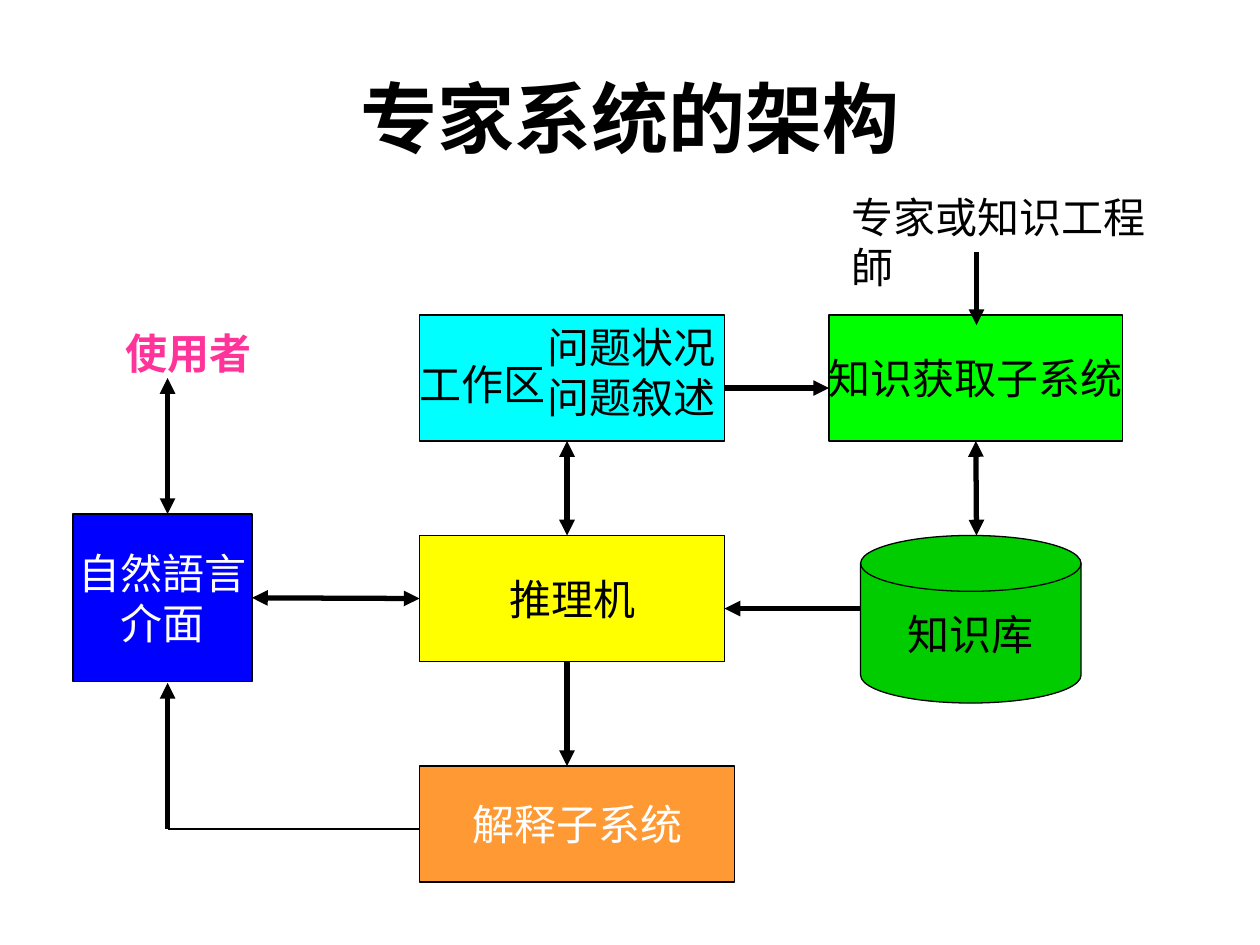
from lxml import etree
from pptx import Presentation
from pptx.dml.color import RGBColor
from pptx.enum.shapes import MSO_CONNECTOR, MSO_SHAPE
from pptx.enum.text import MSO_ANCHOR, MSO_AUTO_SIZE, PP_ALIGN
from pptx.oxml.ns import qn
from pptx.util import Inches, Pt

RECTANGLE = MSO_SHAPE.RECTANGLE
DISK = MSO_SHAPE.FLOWCHART_MAGNETIC_DISK
STRAIGHT = MSO_CONNECTOR.STRAIGHT
MIDDLE = MSO_ANCHOR.MIDDLE
TOP = MSO_ANCHOR.TOP
CENTER = PP_ALIGN.CENTER
LEFT = PP_ALIGN.LEFT
FIT_SHAPE = MSO_AUTO_SIZE.SHAPE_TO_FIT_TEXT
BOTTOM_SITE, LEFT_SITE, RIGHT_SITE = 2, 1, 3

COLORS = {
    "black": "000000",
    "white": "FFFFFF",
    "user": "FF3399",
    "base": "00CC00",
    "acquisition": "00FF00",
    "workspace": "00FFFF",
    "inference": "FFFF00",
    "explanation": "FF9933",
    "interface": "0000FF",
}


def color(name):
    return RGBColor.from_string(COLORS[name])


def place(box, left, top, width, height):
    return (box[0] + left, box[1] + top, width, height)


def write_text(frame, text, size, font_name, font_color, align, anchor, bold=False):
    frame.text = text
    frame.vertical_anchor = anchor
    for paragraph in frame.paragraphs:
        paragraph.alignment = align
        paragraph.font.size = Pt(size)
        paragraph.font.name = font_name
        paragraph.font.bold = bold
        paragraph.font.color.rgb = color(font_color)


def add_title(slide, box, text):
    title = slide.shapes.title
    title.left, title.top, title.width, title.height = map(Inches, box)
    write_text(title.text_frame, text, 44, "Arial", "black", CENTER, MIDDLE, True)


def add_node(slide, box, fill, text="", font_color="black", kind=RECTANGLE):
    node = slide.shapes.add_shape(kind, *map(Inches, box))
    node.shadow.inherit = False
    node.fill.solid()
    node.fill.fore_color.rgb = color(fill)
    node.line.color.rgb = color("black")
    node.line.width = Pt(0.75)
    if text:
        node.text_frame.word_wrap = False
        write_text(node.text_frame, text, 24, "Times New Roman", font_color, CENTER, MIDDLE)
    return node


def add_label(slide, box, text, font_color="black", bold=False):
    frame = slide.shapes.add_textbox(*map(Inches, box)).text_frame
    frame.word_wrap = False
    frame.auto_size = FIT_SHAPE
    write_text(frame, text, 24, "Times New Roman", font_color, LEFT, TOP, bold)


def add_workspace(slide, box):
    add_node(slide, box, "workspace")
    add_label(slide, place(box, 0.92, 0, 1.53, 0.9), "问题状况\n问题叙述")
    add_label(slide, place(box, -0.1, 0.3, 1.2, 0.5), "工作区")


def add_line(slide, box, start, end, ends=("tailEnd",), width=3):
    points = (box[0] + start[0], box[1] + start[1], box[0] + end[0], box[1] + end[1])
    connector = slide.shapes.add_connector(STRAIGHT, *map(Inches, points))
    connector.line.color.rgb = color("black")
    connector.line.width = Pt(width)
    line = connector.line._get_or_add_ln()
    for end_name in ends:
        etree.SubElement(line, qn(f"a:{end_name}"), type="triangle")
    etree.SubElement(connector._element.spPr, qn("a:effectLst"))
    return connector


def add_architecture(slide, box):
    add_node(slide, place(box, 6.25, 2.78, 1.75, 1.33), "base", "知识库", kind=DISK)
    acquisition = add_node(slide, place(box, 6, 1.03, 2.33, 1), "acquisition", "知识获取子系统")
    inference = add_node(slide, place(box, 2.75, 2.78, 2.42, 1), "inference", "推理机")
    add_node(slide, place(box, 2.75, 4.61, 2.5, 0.92), "explanation", "解释子系统", "white")
    interface = add_node(
        slide, place(box, 0, 2.61, 1.42, 1.33), "interface", "自然語言\v介面", "white")
    add_workspace(slide, place(box, 2.75, 1.03, 2.42, 1))
    add_label(slide, place(box, 0.32, 1.08, 1.2, 0.5), "使用者", "user", True)
    add_label(slide, place(box, 6.08, 0, 2.86, 0.5), "专家或知识工程師")

    user_x, inference_x, knowledge_x = 0.75, 3.92, 7.17
    both = ("headEnd", "tailEnd")
    add_line(slide, box, (knowledge_x, 0.53), (knowledge_x, 1.11))
    storing = add_line(slide, box, (knowledge_x, 2.03), (knowledge_x, 2.78), both)
    storing.begin_connect(acquisition, BOTTOM_SITE)
    add_line(slide, box, (5.17, 1.61), (6, 1.61))
    add_line(slide, box, (inference_x, 2.03), (inference_x, 2.78), both)
    add_line(slide, box, (inference_x, 3.78), (inference_x, 4.61))
    dialogue = add_line(slide, box, (1.42, 3.28), (2.75, 3.28), both)
    dialogue.begin_connect(interface, RIGHT_SITE)
    dialogue.end_connect(inference, LEFT_SITE)
    add_line(slide, box, (user_x, 1.53), (user_x, 2.61), both)
    add_line(slide, box, (2.75, 5.11), (user_x, 5.11), (), 0.75)
    add_line(slide, box, (user_x, 5.11), (user_x, 3.95))
    add_line(slide, box, (5.17, 3.36), (6.25, 3.36), ("headEnd",))


def main():
    presentation = Presentation()
    presentation.slide_width = Inches(10)
    presentation.slide_height = Inches(7.5)
    slide = presentation.slides.add_slide(presentation.slide_layouts[5])
    add_title(slide, (0.5, 0.3, 9, 1.25), "专家系统的架构")
    add_architecture(slide, (0.58, 1.47, 8.94, 5.53))
    presentation.save("out.pptx")


if __name__ == "__main__":
    main()
